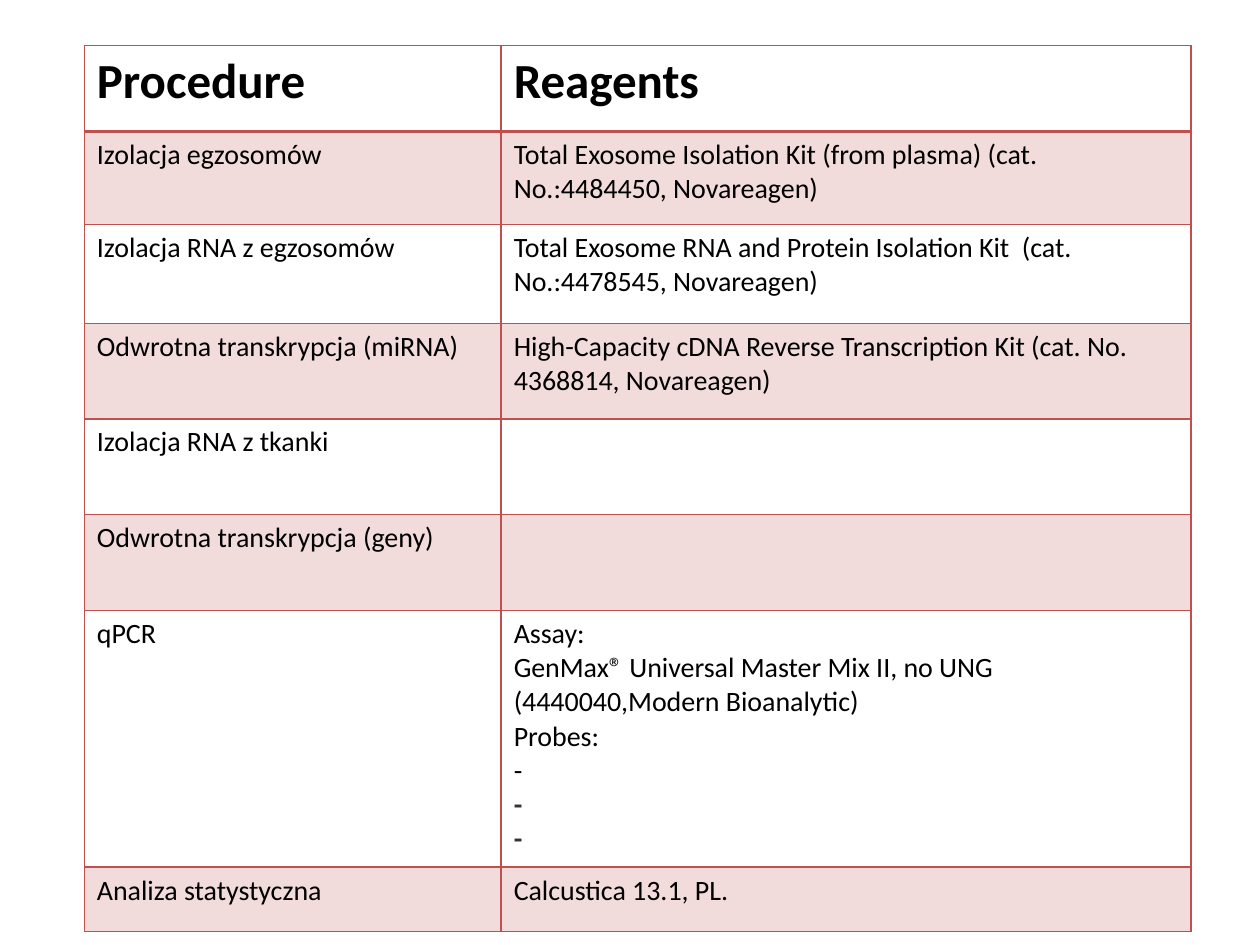
from lxml.etree import SubElement
from pptx import Presentation
from pptx.dml.color import RGBColor
from pptx.enum.text import PP_ALIGN as Align
from pptx.oxml.ns import qn
from pptx.util import Pt

RED = RGBColor(0xC0, 0x50, 0x4D)
BLACK = RGBColor(0, 0, 0)
GREY = RGBColor(0x33, 0x33, 0x33)
TINT_PERCENT = 20

COLUMN_WIDTHS = [238.2, 394.1]
# Row height, procedure, lines of reagents
ROWS = [
    (49, "Procedure", ["Reagents"]),
    (53.2, "Izolacja egzosomów",
     ["Total Exosome Isolation Kit (from plasma) (cat. No.:4484450, Novareagen)"]),
    (56.6, "Izolacja RNA z egzosomów",
     ["Total Exosome RNA and Protein Isolation Kit  (cat. No.:4478545, Novareagen)"]),
    (54.7, "Odwrotna transkrypcja (miRNA)",
     ["High-Capacity cDNA Reverse Transcription Kit (cat. No. 4368814, Novareagen)"]),
    (54.7, "Izolacja RNA z tkanki", [""]),
    (54.7, "Odwrotna transkrypcja (geny)", [""]),
    (146.8, "qPCR",
     ["Assay:",
      "GenMax® Universal Master Mix II, no UNG (4440040,Modern Bioanalytic)",
      "Probes:", "-", "-", "-"]),
    (36.6, "Analiza statystyczna", ["Calcustica 13.1, PL."]),
]


def set_borders(cell, top, bottom):
    """Draw the four red borders, with the given top and bottom widths."""
    properties = cell._tc.get_or_add_tcPr()
    for side, width in (("L", 1), ("R", 1), ("T", top), ("B", bottom)):
        line = SubElement(properties, qn(f"a:ln{side}"), w=str(Pt(width)))
        fill = SubElement(line, qn("a:solidFill"))
        SubElement(fill, qn("a:srgbClr"), val=str(RED))


def set_fill(cell, tinted):
    if not tinted:
        cell.fill.background()
        return
    cell.fill.solid()
    cell.fill.fore_color.rgb = RED
    color = cell._tc.tcPr.find(qn("a:solidFill"))[0]
    SubElement(color, qn("a:alpha"), val=str(TINT_PERCENT * 1000))


def set_text(cell, lines, size, bold):
    cell.text = "\n".join(lines)
    for para in cell.text_frame.paragraphs:
        font = para.font
        font.name, font.size, font.bold = "Calibri", Pt(size), bold
        font.color.rgb = BLACK


def add_protocol_table(page, left, top, width, height):
    frame = page.shapes.add_table(len(ROWS), len(COLUMN_WIDTHS),
                                  Pt(left), Pt(top), Pt(width), Pt(height))
    table = frame.table
    for column, column_width in zip(table.columns, COLUMN_WIDTHS):
        column.width = Pt(column_width)

    for index, (row_height, procedure, reagents) in enumerate(ROWS):
        table.rows[index].height = Pt(row_height)
        header = index == 0
        for cell, lines in zip(table.rows[index].cells, ([procedure], reagents)):
            set_text(cell, lines, 28 if header else 16, header)
            set_borders(cell, 2 if index == 1 else 1, 2 if header else 1)
            set_fill(cell, index % 2 == 1)

    # The last two probe dashes are bold grey
    for para in table.cell(6, 1).text_frame.paragraphs[-2:]:
        para.font.bold = True
        para.font.color.rgb = GREY
    table.cell(7, 1).text_frame.paragraphs[0].alignment = Align.JUSTIFY


def main():
    deck = Presentation()
    deck.slide_width, deck.slide_height = Pt(720), Pt(540)
    page = deck.slides.add_slide(deck.slide_layouts[6])
    add_protocol_table(page, 48.2, 26, sum(COLUMN_WIDTHS), sum(row[0] for row in ROWS))
    deck.save("out.pptx")


if __name__ == "__main__":
    main()
